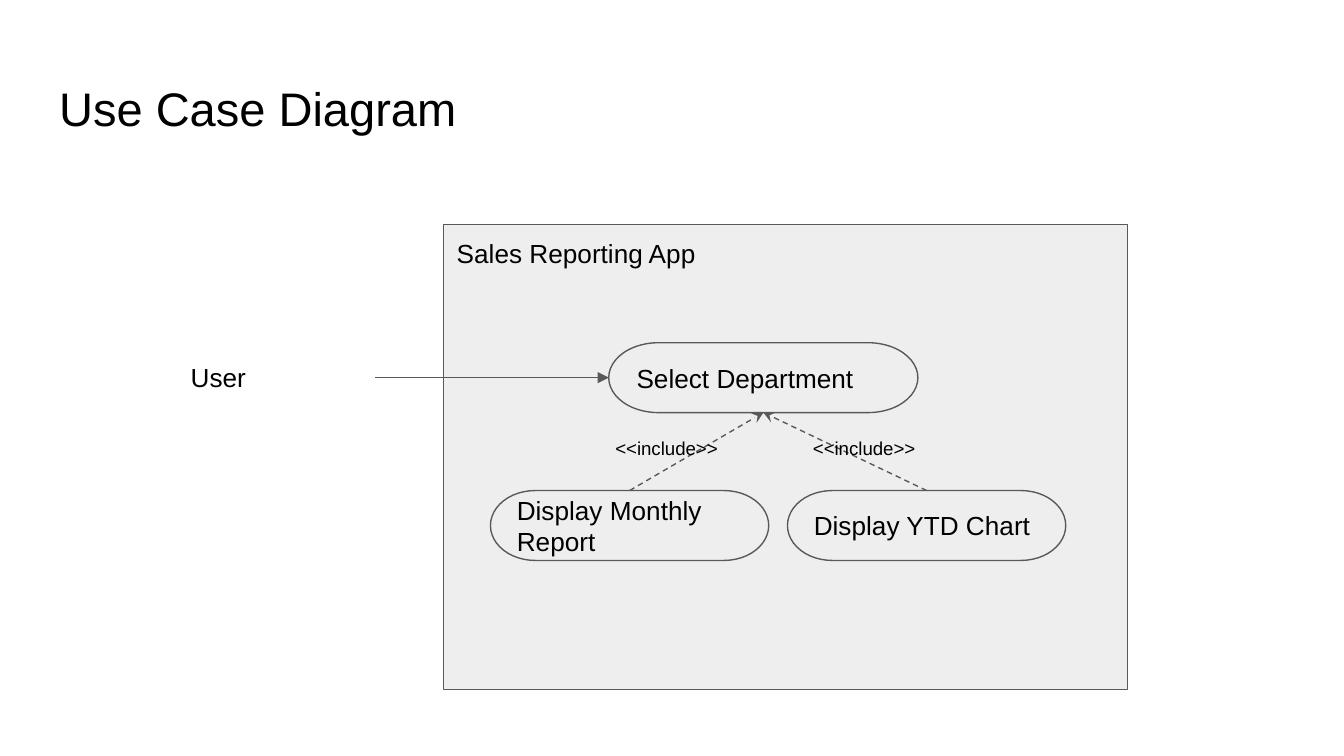
from pptx import Presentation
from pptx.dml.color import RGBColor
from pptx.enum.dml import MSO_LINE
from pptx.enum.shapes import MSO_CONNECTOR, MSO_SHAPE
from pptx.enum.text import MSO_ANCHOR, MSO_AUTO_SIZE, PP_ALIGN
from pptx.oxml.ns import qn
from pptx.util import Inches, Pt
from lxml.etree import SubElement

INK, LINE, PANEL, PAPER = "000000", "595959", "EEEEEE", "FFFFFF"
TOP, LEFT, BOTTOM = 0, 1, 2


def color(value):
    """Turn a hex string into a colour."""
    return RGBColor.from_string(value)


def write(shape, words, size=14, anchor=MSO_ANCHOR.TOP, fit=MSO_AUTO_SIZE.NONE):
    """Put left-aligned Arial text into a shape."""
    frame = shape.text_frame
    frame.text = words
    frame.word_wrap = True
    frame.auto_size = fit
    frame.vertical_anchor = anchor
    frame.margin_left = frame.margin_right = Inches(0.1)
    frame.margin_top = frame.margin_bottom = Inches(0.1)
    paragraph = frame.paragraphs[0]
    paragraph.alignment = PP_ALIGN.LEFT
    font = paragraph.runs[0].font
    font.name, font.size = "Arial", Pt(size)
    font.color.rgb = color(INK)


def add_title(slide, words, left, top, width, height):
    """Place the slide title in the given box."""
    title = slide.shapes.title
    title.left, title.top = Inches(left), Inches(top)
    title.width, title.height = Inches(width), Inches(height)
    write(title, words, 25.2)


def add_label(slide, words, left, top, width, height, size=14):
    """Add plain text in the given box."""
    label = slide.shapes.add_textbox(
        Inches(left), Inches(top), Inches(width), Inches(height))
    write(label, words, size, fit=MSO_AUTO_SIZE.SHAPE_TO_FIT_TEXT)


def add_node(slide, preset, words, left, top, width, height, anchor):
    """Add an outlined grey shape with text."""
    node = slide.shapes.add_shape(
        preset, Inches(left), Inches(top), Inches(width), Inches(height))
    node.shadow.inherit = False
    node.fill.solid()
    node.fill.fore_color.rgb = color(PANEL)
    node.line.color.rgb = color(LINE)
    node.line.width = Pt(0.75)
    write(node, words, anchor=anchor)
    return node


def add_use_case(slide, words, left, top, width):
    """Add one rounded use case."""
    return add_node(slide, MSO_SHAPE.FLOWCHART_TERMINATOR, words,
                    left, top, width, 0.52, MSO_ANCHOR.MIDDLE)


def add_arrow(slide, x, y, target, site, head, source=None, dash=None):
    """Draw an arrow from a point, or the top of a source, to a target site."""
    arrow = slide.shapes.add_connector(
        MSO_CONNECTOR.STRAIGHT, Inches(x), Inches(y), Inches(x), Inches(y))
    if source is not None:
        arrow.begin_connect(source, TOP)
    arrow.end_connect(target, site)
    arrow.line.color.rgb = color(LINE)
    arrow.line.width = Pt(0.75)
    if dash is not None:
        arrow.line.dash_style = dash
    SubElement(arrow.line._get_or_add_ln(), qn("a:tailEnd"),
               type=head, w="med", len="med")
    SubElement(arrow._element.spPr, qn("a:effectLst"))


def add_system(slide, left, top, width, height):
    """Draw the app boundary with its use cases and return the entry case."""
    add_node(slide, MSO_SHAPE.RECTANGLE, "Sales Reporting App",
             left, top, width, height, MSO_ANCHOR.TOP)
    select = add_use_case(slide, "Select Department", left + 1.23, top + 0.88, 2.3)
    included = [("Display Monthly Report", 0.35, 1.18),
                ("Display YTD Chart", 2.56, 2.65)]
    for words, case_x, label_x in included:
        case = add_use_case(slide, words, left + case_x, top + 1.98, 2.07)
        add_arrow(slide, left, top, select, BOTTOM, "stealth", case, MSO_LINE.DASH)
        add_label(slide, "<<include>>", left + label_x, top + 1.5, 1.05, 0.37, 10)
    return select


def add_actor(slide, left, top, width, height, use_case):
    """Add the user and an arrow to the use case."""
    add_label(slide, "User", left, top, width, height)
    add_arrow(slide, left + 1.47, top + height / 2, use_case, LEFT, "triangle")


def build():
    """Build and save the use case slide."""
    deck = Presentation()
    deck.slide_width, deck.slide_height = Inches(10), Inches(10 * 9 / 16)
    slide = deck.slides.add_slide(deck.slide_layouts[5])
    slide.background.fill.solid()
    slide.background.fill.fore_color.rgb = color(PAPER)
    add_title(slide, "Use Case Diagram", 0.34, 0.49, 9.32, 0.63)
    select = add_system(slide, 3.3, 1.67, 5.09, 3.46)
    add_actor(slide, 1.32, 2.59, 0.79, 0.44, select)
    deck.save("out.pptx")


build()
